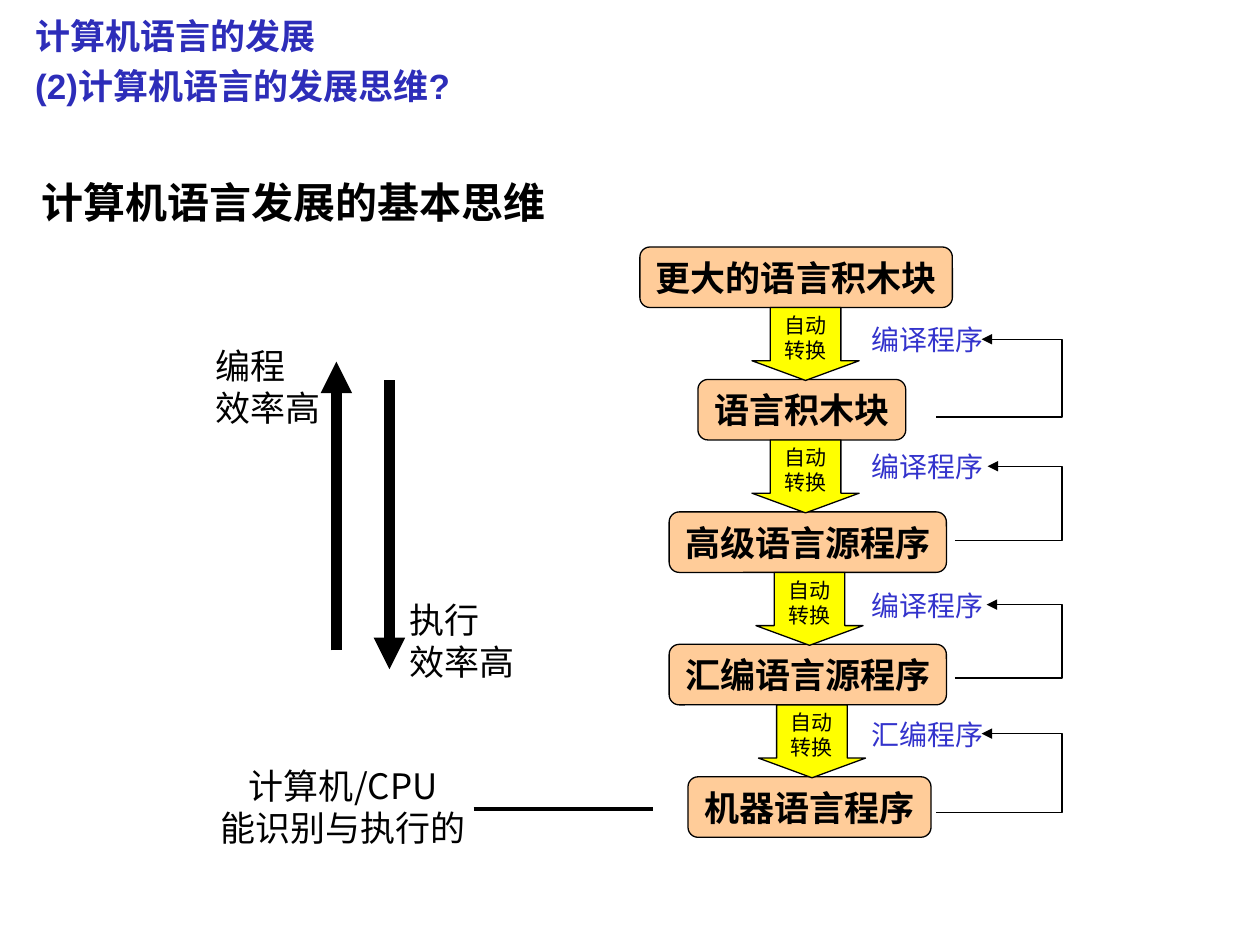
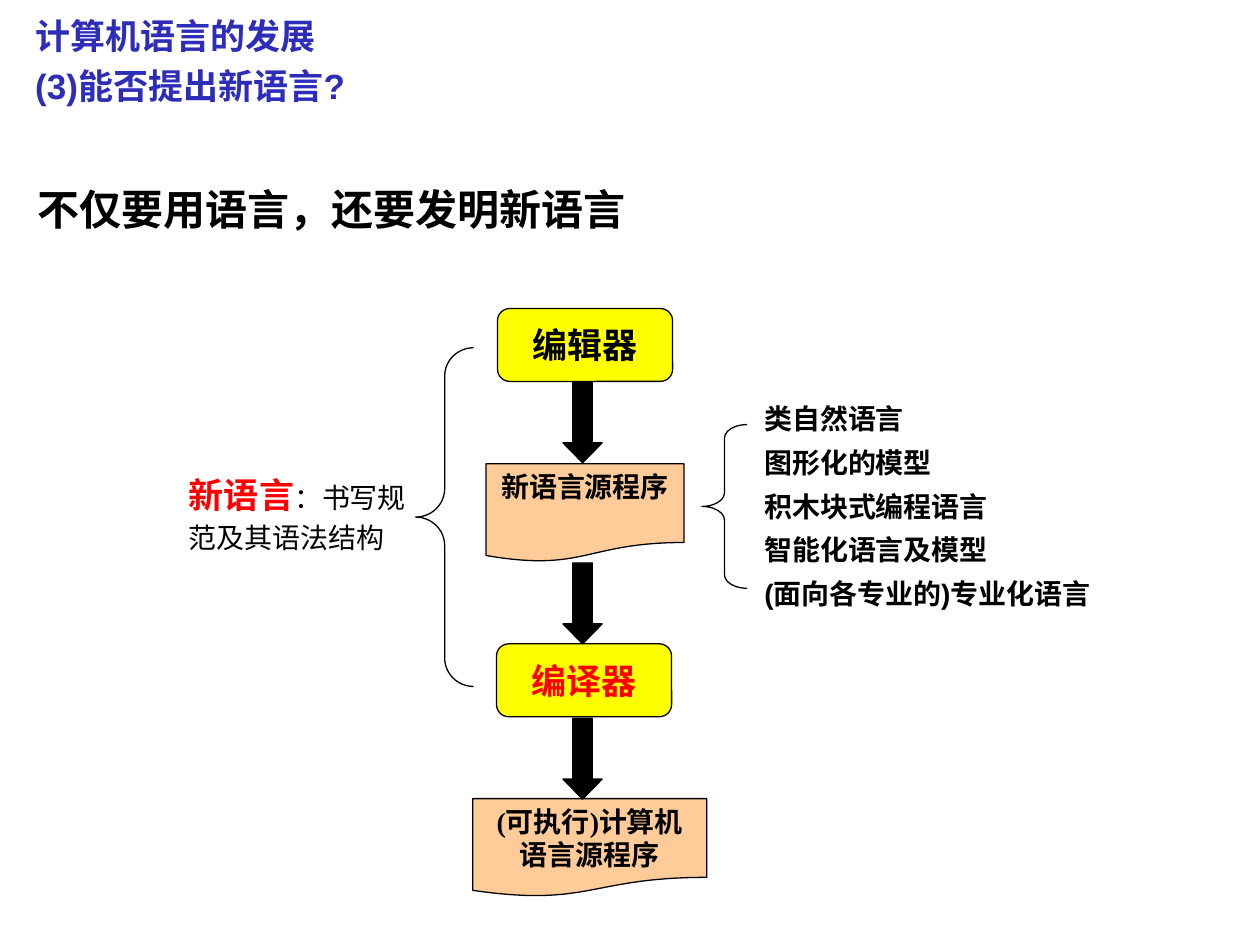
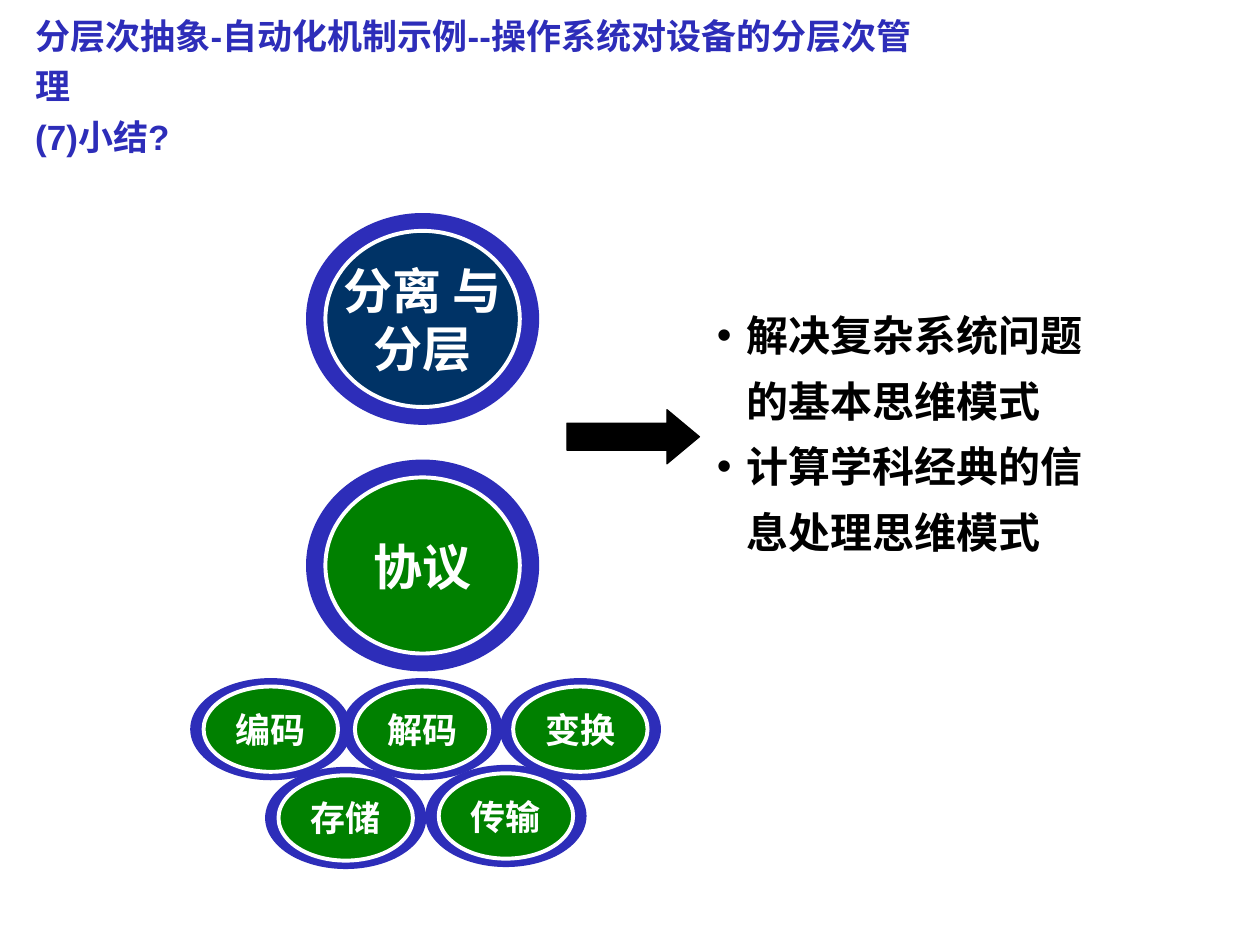
from lxml import etree
from pptx import Presentation
from pptx.dml.color import RGBColor
from pptx.enum.shapes import MSO_CONNECTOR, MSO_SHAPE
from pptx.enum.text import MSO_ANCHOR, PP_ALIGN
from pptx.oxml.ns import qn
from pptx.util import Cm, Pt

ROUND, DOC = MSO_SHAPE.ROUNDED_RECTANGLE, MSO_SHAPE.FLOWCHART_DOCUMENT
DOWN, RIGHT = MSO_SHAPE.DOWN_ARROW, MSO_SHAPE.RIGHT_ARROW
BRACE, OVAL = MSO_SHAPE.LEFT_BRACE, MSO_SHAPE.OVAL
STRAIGHT = MSO_CONNECTOR.STRAIGHT
TOP, MIDDLE = MSO_ANCHOR.TOP, MSO_ANCHOR.MIDDLE
LEFT, CENTER = PP_ALIGN.LEFT, PP_ALIGN.CENTER

COLORS = {
    "title": "2D2DB9", "text": "000000", "label": "3333CC", "box": "FFCC99",
    "key": "FFFF00", "alert": "FF0000", "navy": "003366", "green": "008000",
    "white": "FFFFFF",
}
ARIAL, TIMES, CJK = "Arial", "Times New Roman", "Noto Sans CJK SC"
LINE_HEIGHT = 1.2

TITLES = [
    (["计算机语言的发展", "(2)计算机语言的发展思维?"], 9.4),
    (["计算机语言的发展", "(3)能否提出新语言?"], 7.4),
    (["分层次抽象-自动化机制示例--操作系统对设备的分层次管理", "(7)小结?"], 18.85),
]

LEVELS = [
    ("更大的语言积木块", 12.9, 6.3),
    ("语言积木块", 14.07, 4.19),
    ("高级语言源程序", 13.49, 5.59),
    ("汇编语言源程序", 13.49, 5.59),
    ("机器语言程序", 13.87, 4.9),
]
LEVEL_TOP, LEVEL_STEP, LEVEL_H = 4.98, 2.67, 1.22
CONVERT_LEFTS = [15.16, 15.16, 15.24, 15.29]
TRANSLATORS = [
    ("编译程序", 6.38, (18.87, 8.41), 19.79),
    ("编译程序", 8.94, (19.25, 10.9), 19.91),
    ("编译程序", 11.73, (19.25, 13.67), 19.89),
    ("汇编程序", 14.33, (18.87, 16.38), 19.79),
]
LOOP_RIGHT = 21.41
EFFICIENCY = [
    (["编程", "效率高"], (4.09, 6.81), (6.78, 13.11), (6.78, 7.29)),
    (["执行", "效率高"], (8, 11.94), (7.85, 7.67), (7.85, 13.49)),
]

TOOLS = [("编辑器", 10.03, 6.22, "text"), ("编译器", 10.01, 12.98, "alert")]
PROGRAMS = [
    ("新语言源程序", 9.8, 9.35, 3.99, TOP),
    ("(可执行)计算机语言源程序", 9.53, 16.1, 4.72, MIDDLE),
]
FLOW_TOPS = [7.7, 11.35, 14.48]
BRACES = [(8.38, 7.01, 1.17, 6.83, 0.49), (14.15, 8.56, 0.91, 3.3, 0.3)]
LANGUAGES = ["类自然语言", "图形化的模型", "积木块式编程语言",
             "智能化语言及模型", "(面向各专业的)专业化语言"]

BIG = {"w": 4.7, "h": 4.27, "dx": 0.39, "dy": 0.36, "size": 28}
SMALL = {"w": 3.25, "h": 2.06, "dx": 0.27, "dy": 0.17, "size": 20}
CIRCLES = [
    ("分离 与分层", 8.52, 6.43, "navy", BIG),
    ("协议", 8.52, 11.4, "green", BIG),
    ("编码", 5.46, 14.7, "green", SMALL),
    ("解码", 8.51, 14.7, "green", SMALL),
    ("变换", 11.7, 14.7, "green", SMALL),
    ("存储", 6.97, 16.49, "green", SMALL),
    ("传输", 10.2, 16.45, "green", SMALL),
]
SUMMARY = ["解决复杂系统问题的基本思维模式", "计算学科经典的信息处理思维模式"]


def rgb(name):
    return RGBColor.from_string(COLORS[name])


def style_run(r, size, font, color, bold):
    r.font.size, r.font.name, r.font.bold = Pt(size), font, bold
    r.font.color.rgb = rgb(color)
    ea = etree.Element(qn("a:ea"), typeface=CJK)
    r.font._element.find(qn("a:latin")).addnext(ea)


def write(sp, lines, size, font=ARIAL, color="text", bold=False, align=LEFT,
          anchor=TOP, wrap=True, spacing=1):
    tf = sp.text_frame
    tf.word_wrap, tf.vertical_anchor = wrap, anchor
    tf.text = "\n".join(lines)
    for p in tf.paragraphs:
        p.alignment = align
        p.line_spacing = Pt(round(size * LINE_HEIGHT * spacing, 1))
        for r in p.runs:
            style_run(r, size, font, color, bold)
    return tf


def text_box(s, box, lines, size, **style):
    sp = s.shapes.add_textbox(*map(Cm, box))
    return write(sp, lines, size, **style)


def add_shape(s, kind, box, fill=None, line="text", weight=0.75, adj=()):
    sp = s.shapes.add_shape(kind, *map(Cm, box))
    sp.shadow.inherit = False
    if fill:
        sp.fill.solid()
        sp.fill.fore_color.rgb = rgb(fill)
    else:
        sp.fill.background()
    set_line(sp, line, weight)
    for i, value in enumerate(adj):
        sp.adjustments[i] = value
    return sp


def set_line(sp, color, weight, arrow=False):
    sp.line.color.rgb = rgb(color)
    sp.line.width = Pt(weight)
    if arrow:
        ln = sp._element.spPr.find(qn("a:ln"))
        etree.SubElement(ln, qn("a:tailEnd"), type="triangle")


def add_line(s, start, end, weight, arrow=False):
    cn = s.shapes.add_connector(STRAIGHT, *map(Cm, start + end))
    set_line(cn, "text", weight, arrow)
    etree.SubElement(cn._element.spPr, qn("a:effectLst"))


def add_loop(s, start, end):
    points = [start, (LOOP_RIGHT, start[1]), (LOOP_RIGHT, end[1]), end]
    points = [(Cm(x), Cm(y)) for x, y in points]
    fb = s.shapes.build_freeform(*points[0])
    fb.add_line_segments(points[1:], close=False)
    sp = fb.convert_to_shape()
    sp.shadow.inherit = False
    sp.fill.background()
    set_line(sp, "text", 0.75, arrow=True)


def add_bullets(tf, indent):
    for p in tf.paragraphs:
        pPr = p._p.get_or_add_pPr()
        pPr.set("marL", str(Cm(indent)))
        pPr.set("indent", str(-Cm(indent)))
        etree.SubElement(pPr, qn("a:buFont"), typeface=ARIAL)
        etree.SubElement(pPr, qn("a:buChar"), char="•")


def new_slide(prs, title):
    s = prs.slides.add_slide(prs.slide_layouts[6])
    lines, width = title
    text_box(s, (0.46, 0, width, 2.29), lines, 20, color="title", bold=True,
             spacing=1.2)
    return s


def build_levels(s):
    text_box(s, (0.58, 3.43, 13.26, 1.27), ["计算机语言发展的基本思维"], 24, bold=True)
    for i, (name, left, width) in enumerate(LEVELS):
        top = LEVEL_TOP + i * LEVEL_STEP
        sp = add_shape(s, ROUND, (left, top, width, LEVEL_H), "box")
        write(sp, [name], 20, font=TIMES, bold=True, align=CENTER,
              anchor=MIDDLE, wrap=False)
    for i, left in enumerate(CONVERT_LEFTS):
        top = LEVEL_TOP + i * LEVEL_STEP + LEVEL_H
        sp = add_shape(s, DOWN, (left, top, 2.16, 1.47), "key", adj=(0.66, 0.27))
        write(sp, ["自动", "转换"], 12, align=CENTER, anchor=MIDDLE, wrap=False)
    for name, top, start, end_x in TRANSLATORS:
        text_box(s, (17.32, top, 2.77, 0.94), [name], 16, font=TIMES,
                 color="label", align=CENTER, anchor=MIDDLE, wrap=False)
        add_loop(s, start, (end_x, top + 0.46))
    for lines, place, start, end in EFFICIENCY:
        add_line(s, start, end, 6, arrow=True)
        text_box(s, place + (2.62, 1.96), lines, 20, font=TIMES,
                 anchor=MIDDLE, wrap=False)
    text_box(s, (4.19, 15.27, 5.46, 1.96), ["计算机/CPU", "能识别与执行的"], 20,
             font=CJK, align=CENTER, anchor=MIDDLE, wrap=False)
    add_line(s, (9.55, 16.31), (13.16, 16.31), 2.25)


def build_new_language(s):
    text_box(s, (0.51, 3.28, 13.77, 1.57), ["不仅要用语言，还要发明新语言"], 24,
             bold=True, spacing=1.3)
    for name, left, top, color in TOOLS:
        sp = add_shape(s, ROUND, (left, top, 3.53, 1.47), "key")
        write(sp, [name], 20, color=color, bold=True, align=CENTER,
              anchor=MIDDLE, wrap=False)
    for name, left, top, width, anchor in PROGRAMS:
        sp = add_shape(s, DOC, (left, top, width, 1.98), "box")
        write(sp, [name], 16, font=TIMES, bold=True, align=CENTER, anchor=anchor)
    for top in FLOW_TOPS:
        add_shape(s, DOWN, (11.35, top, 0.79, 1.63), "text", adj=(0.5, 0.51))
    for *box, curve in BRACES:
        add_shape(s, BRACE, box, adj=(curve, 0.5))
    tf = text_box(s, (3.56, 9.5, 5, 1.78), ["新语言"], 20, color="alert", bold=True)
    p = tf.paragraphs[0]
    p.line_spacing = Pt(22)
    r = p.add_run()
    r.text = "：书写规范及其语法结构"
    style_run(r, 16, ARIAL, "text", False)
    text_box(s, (15.16, 7.77, 7.11, 4.67), LANGUAGES, 16, bold=True, spacing=1.3)


def build_summary(s):
    for name, x, y, color, c in CIRCLES:
        w, h = c["w"], c["h"]
        ring = add_shape(s, OVAL, (x - w / 2, y - h / 2, w, h), "title")
        ring.line.fill.background()
        w, h = w - 2 * c["dx"], h - 2 * c["dy"]
        box = (x - w / 2, y - h / 2, w, h)
        add_shape(s, OVAL, box, color, "white", 2.25)
        text_box(s, box, [name], c["size"], font=CJK, color="white", bold=True,
                 align=CENTER, anchor=MIDDLE)
    add_shape(s, RIGHT, (11.43, 8.26, 2.67, 1.09), "text", adj=(0.5, 0.6))
    tf = text_box(s, (14.2, 5.82, 8.6, 5.54), SUMMARY, 24, bold=True, spacing=1.3)
    add_bullets(tf, 0.6)


def main():
    prs = Presentation()
    prs.slide_width, prs.slide_height = Cm(25.4), Cm(19.05)
    builders = [build_levels, build_new_language, build_summary]
    for title, build in zip(TITLES, builders):
        build(new_slide(prs, title))
    prs.save("out.pptx")


if __name__ == "__main__":
    main()
